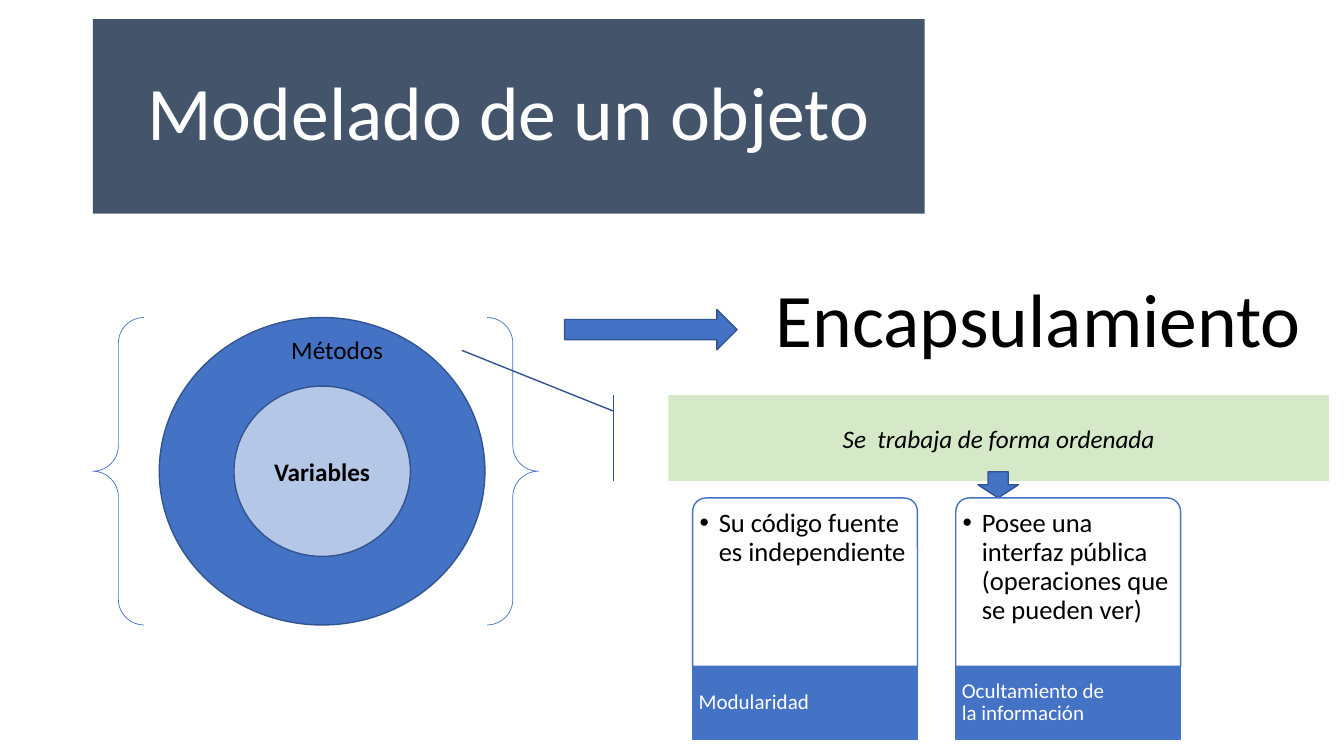
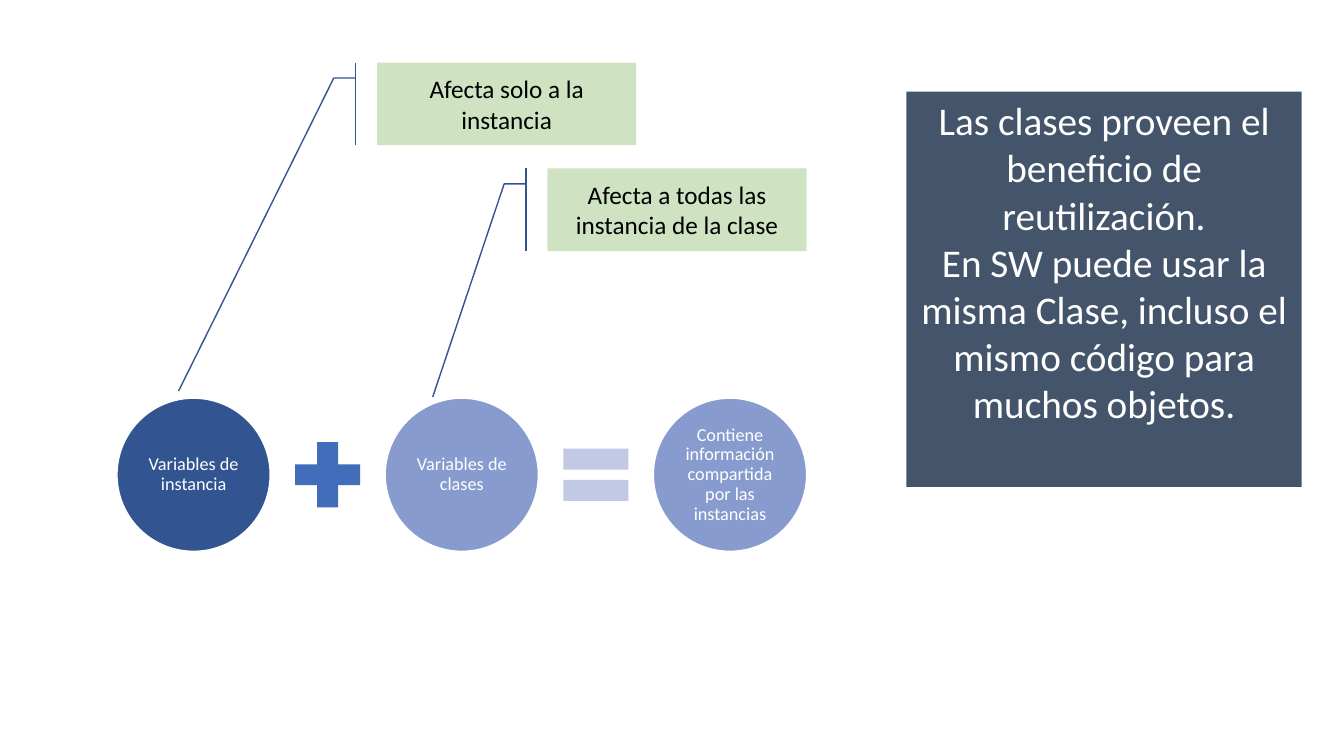
from lxml import etree
from pptx import Presentation
from pptx.dml.color import RGBColor
from pptx.enum.shapes import MSO_SHAPE as SHAPE
from pptx.enum.text import MSO_ANCHOR, PP_ALIGN
from pptx.oxml.ns import qn
from pptx.util import Emu, Pt

TOP, MIDDLE = MSO_ANCHOR.TOP, MSO_ANCHOR.MIDDLE
LEFT, CENTER = PP_ALIGN.LEFT, PP_ALIGN.CENTER

PX = 9144  # 100 px to the inch
FONT = "Calibri"
COLORS = {
    "slate": "44546A", "blue": "4472C4", "navy": "325491",
    "pale_blue": "B4C7E7", "plus": "416DBB", "equal": "C1C9E4",
    "lavender": "879BCE", "mint": "C5E0B4", "green": "70AD47",
    "white": "FFFFFF", "black": "000000",
}

# Text styles: font values, paragraph values, frame values, margins (l, t, r, b)
PLAIN_MARGINS = (10, 5, 10, 5)


def text_style(size, color="black", align=CENTER, anchor=MIDDLE, spacing=1.0,
               margins=PLAIN_MARGINS, wrap=True, bullet=False, **font):
    return {
        "font": {"name": FONT, "size": Pt(size), **font},
        "color": color,
        "paragraph": {"alignment": align, "line_spacing": spacing},
        "frame": {"vertical_anchor": anchor, "word_wrap": wrap},
        "margins": margins,
        "bullet": bullet,
    }


STYLES = {
    "title": text_style(54, "white", spacing=0.9),
    "heading": text_style(54, anchor=TOP, wrap=False),
    "ring": text_style(18, align=LEFT, anchor=TOP, wrap=False),
    "core": text_style(18, bold=True),
    "callout": text_style(18),
    "callout_italic": text_style(18, italic=True),
    "card": text_style(19, align=LEFT, anchor=TOP, spacing=0.9,
                       margins=(3, 8, 3, 3), bullet=True),
    "card_label": text_style(15, "white", LEFT, spacing=0.9,
                             margins=(6, 0, 68, 0)),
    "circle": text_style(13, "white", spacing=0.9, margins=(2, 2, 2, 2)),
    "summary": text_style(28, "white", anchor=TOP),
}

CARDS = [
    ("Su código fuente es independiente", "Modularidad"),
    ("Posee una interfaz pública (operaciones que se pueden ver)",
     "Ocultamiento de la información"),
]
EQUATION = [
    ("Variables de instancia", "navy"),
    ("Variables de clases", "lavender"),
    ("Contiene información compartida por las instancias", "lavender"),
]
SIGNS = [(SHAPE.MATH_PLUS, "plus"), (SHAPE.MATH_EQUAL, "equal")]
# left, top, text, pointer end as (y, x) fractions of the box
EFFECTS = [
    (374, 62, "Afecta solo a la instancia", (3.974, -0.766)),
    (543, 167, "Afecta a todas las instancia de la clase", (2.767, -0.443)),
]
SUMMARY = [
    "Las clases proveen el beneficio de reutilización.",
    "En SW puede usar la misma Clase, incluso el mismo código para muchos objetos.",
]


def px(length):
    return Emu(round(length * PX))


def rgb(name):
    return RGBColor.from_string(COLORS[name])


def set_values(target, values):
    for key, value in values.items():
        setattr(target, key, value)


def add_bullet(paragraph, indent=19):
    props = paragraph._p.get_or_add_pPr()
    props.set("marL", str(px(indent)))
    props.set("indent", str(-px(indent)))
    etree.SubElement(props, qn("a:buFont")).set("typeface", "Arial")
    etree.SubElement(props, qn("a:buChar")).set("char", "•")


def write(shape, paragraphs, style_name):
    style = STYLES[style_name]
    frame = shape.text_frame
    set_values(frame, style["frame"])
    sides = ("margin_left", "margin_top", "margin_right", "margin_bottom")
    set_values(frame, dict(zip(sides, map(px, style["margins"]))))
    for i, text in enumerate(paragraphs):
        paragraph = frame.add_paragraph() if i else frame.paragraphs[0]
        set_values(paragraph, style["paragraph"])
        if style["bullet"]:
            add_bullet(paragraph)
        run = paragraph.add_run()
        run.text = text
        set_values(run.font, style["font"])
        run.font.color.rgb = rgb(style["color"])


def add_figure(slide, kind, at, fill=None, line=None, width=1, opacity=100,
               adjustments=(), text=(), style=None):
    """Add a preset shape; opacity is the fill's percentage."""
    figure = slide.shapes.add_shape(kind, *map(px, at))
    figure.shadow.inherit = False
    for i, value in enumerate(adjustments):
        figure.adjustments[i] = value
    if fill:
        figure.fill.solid()
        figure.fill.fore_color.rgb = rgb(fill)
        if opacity < 100:
            color = figure.fill._xPr.find(qn("a:solidFill"))[0]
            etree.SubElement(color, qn("a:alpha")).set("val", str(opacity * 1000))
    else:
        figure.fill.background()
    if line:
        figure.line.color.rgb = rgb(line)
        figure.line.width = Pt(width)
    else:
        figure.line.fill.background()
    if text:
        write(figure, text, style)


def add_label(slide, at, text, style):
    write(slide.shapes.add_textbox(*map(px, at)), [text], style)


def build_object_model(slide):
    add_figure(slide, SHAPE.OVAL, (158, 315, 323, 305), "blue", "navy")
    add_figure(slide, SHAPE.OVAL, (232, 383, 175, 169), "pale_blue", "navy",
               text=["Variables"], style="core")
    add_label(slide, (279, 327, 112, 40), "Métodos", "ring")
    add_figure(slide, SHAPE.RECTANGLE, (92, 19, 825, 193), "slate",
               text=["Modelado de un objeto"], style="title")
    add_figure(slide, SHAPE.DOUBLE_BRACE, (92, 315, 442, 305),
               line="blue", width=0.5)
    add_figure(slide, SHAPE.RIGHT_ARROW, (560, 307, 171, 40), "blue", "navy")
    add_label(slide, (757, 265, 546, 101), "Encapsulamiento", "heading")
    add_figure(slide, SHAPE.LINE_CALLOUT_1_ACCENT_BAR, (663, 392, 655, 85),
               "mint", "navy", opacity=72,
               adjustments=(0.188, -0.083, -0.523, -0.313),
               text=["Se  trabaja de forma ordenada"], style="callout_italic")
    add_figure(slide, SHAPE.DOWN_ARROW, (970, 468, 40, 26), "blue", "navy")

    left, top, width, body, label, step = 687, 494, 223, 167, 72, 261
    for i, (detail, name) in enumerate(CARDS):
        x = left + i * step
        add_figure(slide, SHAPE.ROUND_2_SAME_RECTANGLE, (x, top, width, body),
                   "white", "blue", opacity=90, adjustments=(0.08, 0),
                   text=[detail], style="card")
        add_figure(slide, SHAPE.RECTANGLE, (x, top + body, width, label),
                   "blue", "blue", text=[name], style="card_label")


def build_class_reuse(slide):
    left, top, circle, sign, gap = 116, 395, 152, 88, 13
    step = circle + sign + 2 * gap
    for i, (text, fill) in enumerate(EQUATION):
        add_figure(slide, SHAPE.OVAL, (left + i * step, top, circle, circle),
                   fill, "white", text=[text], style="circle")
    for i, (kind, fill) in enumerate(SIGNS):
        x = left + i * step + circle + gap
        add_figure(slide, kind, (x, top + (circle - sign) / 2, sign, sign), fill)
    for x, y, text, pointer in EFFECTS:
        add_figure(slide, SHAPE.LINE_CALLOUT_2_ACCENT_BAR, (x, y, 257, 82),
                   "green", "navy", opacity=33,
                   adjustments=(0.188, -0.083, 0.188, -0.167, *pointer),
                   text=[text], style="callout")
    add_figure(slide, SHAPE.RECTANGLE, (899, 91, 392, 392), "slate",
               text=SUMMARY, style="summary")


def main():
    deck = Presentation()
    deck.slide_width, deck.slide_height = px(1333), px(750)
    blank = deck.slide_layouts[6]
    for build in (build_object_model, build_class_reuse):
        build(deck.slides.add_slide(blank))
    deck.save("out.pptx")


if __name__ == "__main__":
    main()
